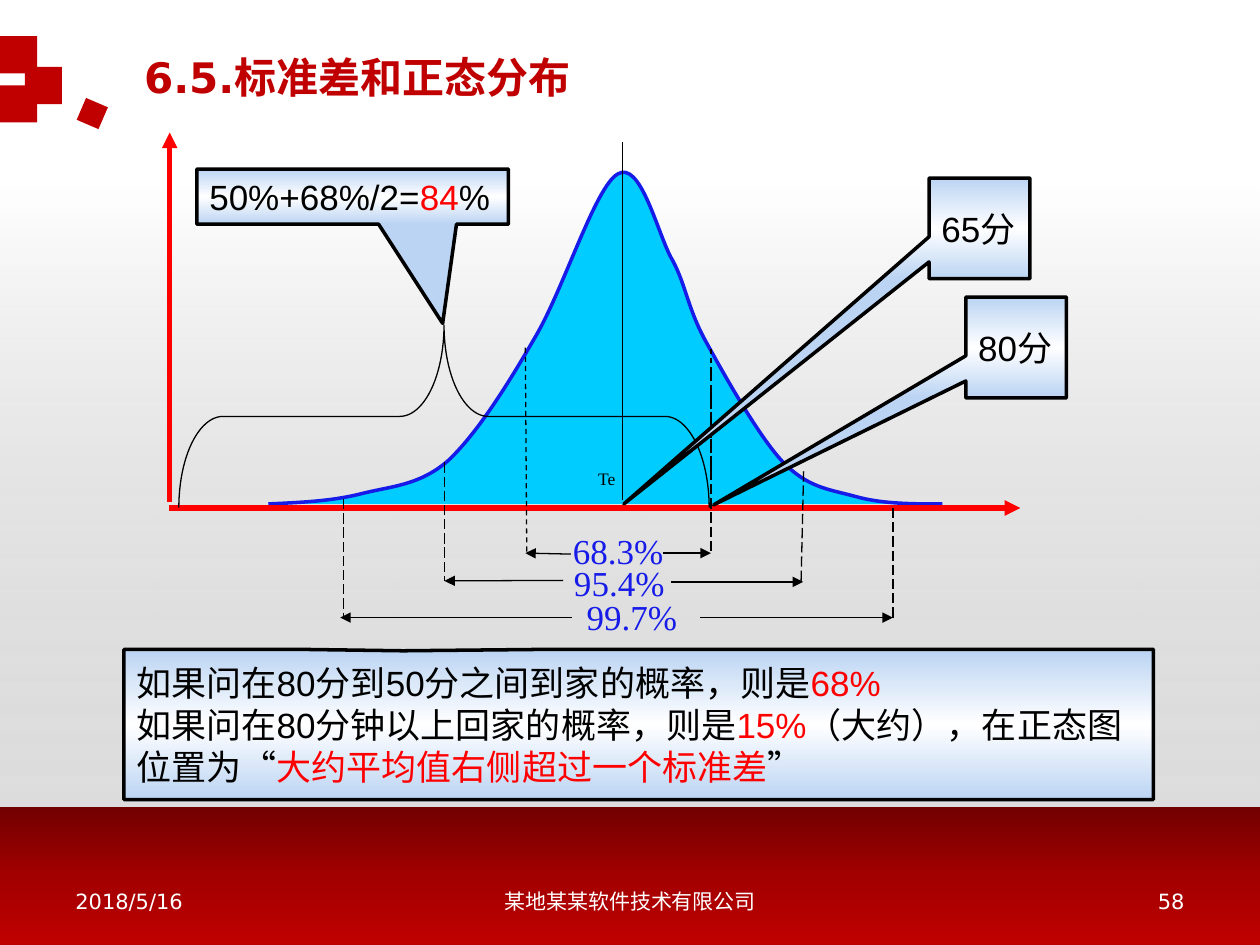
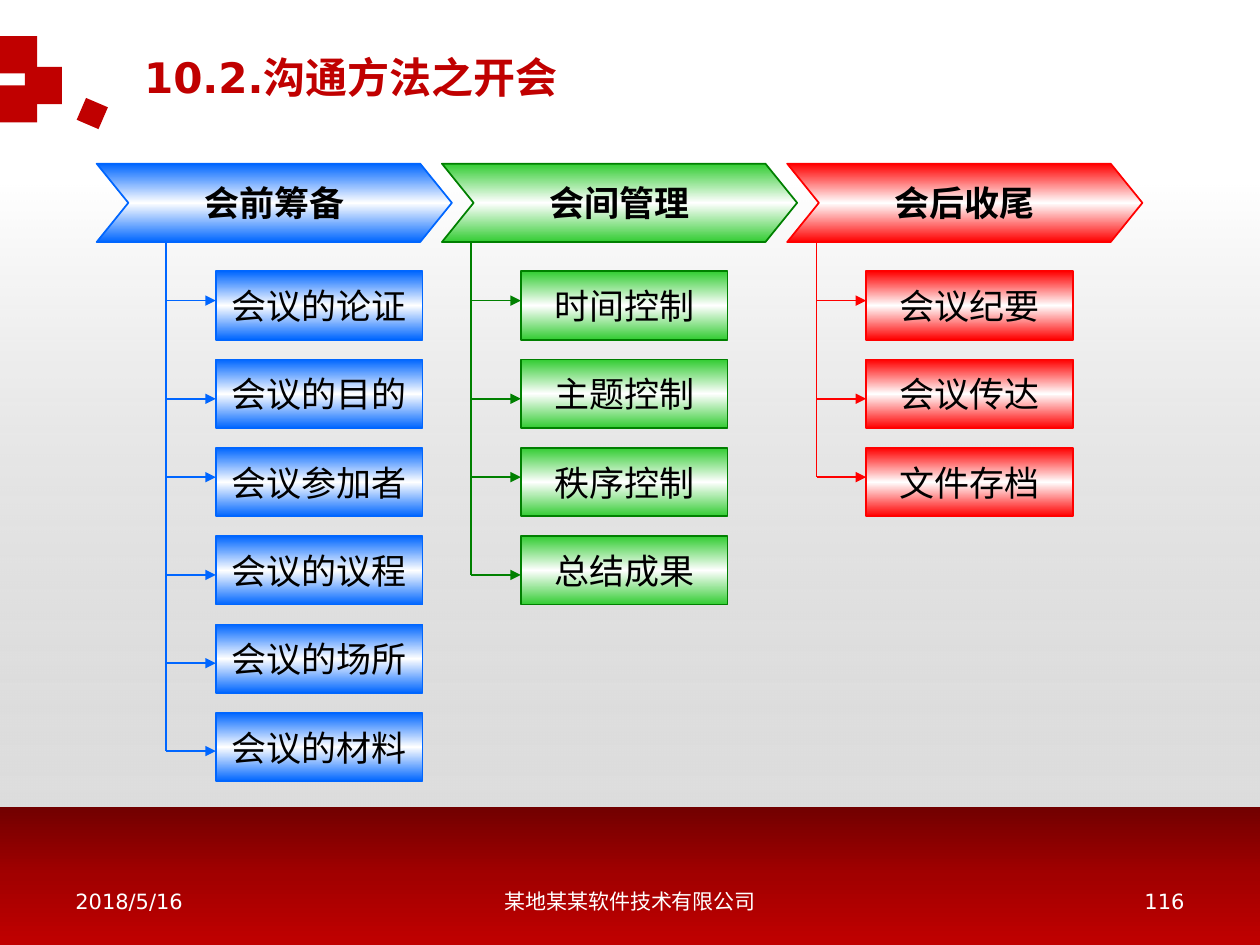
"""Build two training slides: the normal distribution and the three stages of a meeting."""
from dataclasses import dataclass

from lxml.etree import SubElement
from pptx import Presentation
from pptx.dml.color import RGBColor
from pptx.enum.dml import MSO_LINE
from pptx.enum.shapes import MSO_CONNECTOR, MSO_SHAPE
from pptx.enum.text import MSO_ANCHOR, MSO_AUTO_SIZE, PP_ALIGN
from pptx.oxml.ns import qn
from pptx.util import Cm, Pt


@dataclass(frozen=True)
class Theme:
    brand: str = "C00000"
    white: str = "FFFFFF"
    black: str = "000000"
    red: str = "FF0000"
    curve: str = "161BE8"
    area: str = "00CCFF"
    backdrop: tuple = ("B6B6B600", "DDDDDD")
    base_band: tuple = ("720000", "A20000", "C00000")
    callout: tuple = ("BBD4F3", "FFFFFF", "BBD4F3")
    font: str = "DejaVu Sans"
    callout_font: str = "Arial"
    figure_font: str = "Times New Roman"
    title_size: int = 24
    text_size: int = 20
    footer_size: int = 12
    mark_size: int = 10


theme = Theme()


def write(frame, text, font=theme.font, size=theme.text_size, color=theme.black, bold=False,
          align=PP_ALIGN.LEFT, anchor=MSO_ANCHOR.MIDDLE, wrap=True):
    """Fill a frame; parts between bars are set in the accent red."""
    frame.word_wrap = wrap
    frame.auto_size = MSO_AUTO_SIZE.NONE
    frame.vertical_anchor = anchor
    for index, words in enumerate(text.split("\n")):
        paragraph = frame.add_paragraph() if index else frame.paragraphs[0]
        paragraph.alignment = align
        for part, piece in enumerate(words.split("|")):
            run = paragraph.add_run()
            run.text = piece
            run.font.name = font
            run.font.size = Pt(size)
            run.font.bold = bold
            run.font.color.rgb = RGBColor.from_string(theme.red if part % 2 else color)


def style(shape, fill=None, line=None, width=0.75, dash=None, arrow=False):
    """Set fill (one colour or gradient stops, top to bottom), outline and no shadow."""
    if fill == ():
        shape.fill.background()
    elif isinstance(fill, str):
        shape.fill.solid()
        shape.fill.fore_color.rgb = RGBColor.from_string(fill)
    elif fill:
        shape.fill.gradient()
        shape.fill.gradient_angle = 270
        stops = shape._element.spPr.find(".//" + qn("a:gsLst"))
        stops.clear()
        for index, color in enumerate(fill):
            stop = SubElement(stops, qn("a:gs"), pos=str(100000 * index // (len(fill) - 1)))
            tone = SubElement(stop, qn("a:srgbClr"), val=color[:6])
            if len(color) == 8:
                SubElement(tone, qn("a:alpha"), val=str(int(color[6:], 16) * 100000 // 255))
    if line:
        shape.line.color.rgb = RGBColor.from_string(line)
        shape.line.width = Pt(width)
        if dash:
            shape.line.dash_style = dash
        if arrow:
            SubElement(shape.line._get_or_add_ln(), qn("a:tailEnd"), type="triangle")
    else:
        shape.line.fill.background()
    SubElement(shape._element.spPr, qn("a:effectLst"))


prs = Presentation()
prs.slide_width, prs.slide_height = Cm(25.4), Cm(19.05)

pages = []
for heading, number in [("6.5.标准差和正态分布", "58"), ("10.2.沟通方法之开会", "116")]:
    slide = prs.slides.add_slide(prs.slide_layouts[5])
    pages.append(slide)
    for x, y, w, h, turn, fill in [
        (0, 3.73, 25.4, 12.54, 0, theme.backdrop),
        (0, 16.27, 25.4, 2.78, 0, theme.base_band),
        (0, 0.73, 0.75, 0.75, 0, theme.brand),
        (0.5, 1.35, 0.75, 0.75, 0, theme.brand),
        (0, 1.72, 0.75, 0.75, 0, theme.brand),
        (1.62, 2.05, 0.48, 0.48, 23.3, theme.brand),
    ]:
        block = slide.shapes.add_shape(MSO_SHAPE.RECTANGLE, Cm(x), Cm(y), Cm(w), Cm(h))
        block.rotation = turn
        style(block, fill)
    title = slide.shapes.title
    title.left, title.top, title.width, title.height = Cm(2.65), Cm(0.91), Cm(21.8), Cm(1.27)
    write(title.text_frame, heading, size=theme.title_size, color=theme.brand, bold=True)
    for text, x, w, align in [
        ("2018/5/16", 1.27, 5.92, PP_ALIGN.LEFT),
        ("某地某某软件技术有限公司", 8.68, 8.05, PP_ALIGN.CENTER),
        (number, 18.21, 5.92, PP_ALIGN.RIGHT),
    ]:
        footer = slide.shapes.add_textbox(Cm(x), Cm(17.65), Cm(w), Cm(1.02))
        write(footer.text_frame, text, size=theme.footer_size, color=theme.white, align=align)

distribution, meeting = pages

bell = [
    (5.41, 10.16), (6.02, 10.13), (6.65, 10.11), (7.26, 9.96), (7.87, 9.8), (8.43, 9.8),
    (9.02, 9.3), (9.6, 8.76), (10.21, 7.8), (10.77, 6.83), (11.35, 5.87), (11.99, 3.78),
    (12.45, 3.51), (12.9, 3.23), (13.23, 4.6), (13.51, 5.16), (13.82, 5.69), (13.84, 6.15),
    (14.2, 6.83), (14.58, 7.52), (15.27, 8.76), (15.77, 9.3), (16.28, 9.83), (16.69, 9.86),
    (17.25, 10.01), (17.78, 10.16), (18.39, 10.16), (19, 10.16),
]
start, *controls = [(Cm(x), Cm(y)) for x, y in bell]
builder = distribution.shapes.build_freeform(*start)
builder.add_line_segments(controls, close=False)
bell_curve = builder.convert_to_shape()
outline = bell_curve._element.spPr.find(".//" + qn("a:path"))
segments = outline.findall(qn("a:lnTo"))
for first in range(0, len(segments), 3):
    bend = SubElement(outline, qn("a:cubicBezTo"))
    for segment in segments[first:first + 3]:
        bend.append(segment[0])
        outline.remove(segment)
style(bell_curve, theme.area, theme.curve, 2)

axis_look = dict(line=theme.red, width=3, arrow=True)
mean_look = dict(line=theme.black)
span_look = dict(line=theme.black, arrow=True)
near_look = dict(line=theme.black, dash=MSO_LINE.DASH)
limit_look = dict(line=theme.black, dash=MSO_LINE.LONG_DASH)
for look, ends in [
    (axis_look, [(3.4, 10.24, 20.57, 10.24), (3.42, 10.11, 3.42, 2.67)]),
    (near_look, [(14.33, 9.68, 14.33, 7.01), (10.59, 7.01, 10.62, 11.15)]),
    (limit_look, [(14.33, 7.47, 14.33, 11.13), (8.96, 9.32, 8.96, 11.71),
                  (16.2, 9.5, 16.15, 11.71), (18, 10.24, 18, 12.45),
                  (6.93, 10.06, 6.93, 12.45)]),
    (span_look, [(13.36, 11.15, 14.33, 11.15), (13.53, 11.73, 16.19, 11.73),
                 (14.12, 12.45, 18, 12.45), (11.51, 11.17, 10.59, 11.15),
                 (11.35, 11.7, 8.96, 11.71), (11.53, 12.45, 6.86, 12.45)]),
    (mean_look, [(12.55, 2.87, 12.55, 10.08)]),
]:
    for end in ends:
        style(distribution.shapes.add_connector(MSO_CONNECTOR.STRAIGHT, *map(Cm, end)), **look)

for share, x, y, w, h in [
    ("68.3%", 11.15, 10.54, 2.62, 0.76),
    ("95.4%", 11.19, 11.2, 2.59, 0.94),
    ("99.7%", 11.23, 11.89, 3.02, 1.24),
]:
    label = distribution.shapes.add_textbox(Cm(x), Cm(y), Cm(w), Cm(h))
    write(label.text_frame, share, font=theme.figure_font, color=theme.curve,
          align=PP_ALIGN.CENTER, anchor=MSO_ANCHOR.TOP)
mean_mark = distribution.shapes.add_textbox(Cm(11.81), Cm(9.32), Cm(2.21), Cm(0.97))
write(mean_mark.text_frame, "Te", font=theme.figure_font, size=theme.mark_size,
      anchor=MSO_ANCHOR.TOP)

brace = distribution.shapes.add_shape(MSO_SHAPE.LEFT_BRACE, Cm(7.11), Cm(3.05), Cm(3.68), Cm(10.69))
brace.rotation = 90
brace.adjustments[0] = 0.242
style(brace, (), theme.black)

for text, x, y, w, h, tip_x, tip_y in [
    ("如果问在80分到50分之间到家的概率，则是|68%\n"
     "如果问在80分钟以上回家的概率，则是|15%|（大约），在正态图位置为“"
     "|大约平均值右侧超过一个标准差|”", 2.5, 13.09, 20.75, 3.03, -0.229, -0.49),
    ("65分", 18.73, 3.59, 2.03, 2.03, -3.532, 2.737),
    ("80分", 19.47, 5.99, 2.03, 2.03, -3.004, 1.564),
    ("50%+68%/2=|84|%", 3.97, 3.41, 6.28, 1.11, 0.289, 2.302),
]:
    callout = distribution.shapes.add_shape(MSO_SHAPE.RECTANGULAR_CALLOUT, Cm(x), Cm(y), Cm(w), Cm(h))
    callout.adjustments[0], callout.adjustments[1] = tip_x, tip_y
    style(callout, theme.callout, theme.black, 2)
    write(callout.text_frame, text, font=theme.callout_font)

stages = [
    ("会前筹备", "0066FF", "0066FF", 4.35,
     ["会议的论证", "会议的目的", "会议参加者", "会议的议程", "会议的场所", "会议的材料"]),
    ("会间管理", "33CC33", "008000", 10.5, ["时间控制", "主题控制", "秩序控制", "总结成果"]),
    ("会后收尾", "FF0000", "FF0000", 17.46, ["会议纪要", "会议传达", "文件存档"]),
]
branch_levels = [6.06, 8.04, 9.62, 11.59, 13.37, 15.14]
for column, (stage, tint, edge, task_left, tasks) in enumerate(stages):
    glow = (tint, theme.white, tint)
    chevron = meeting.shapes.add_shape(MSO_SHAPE.CHEVRON, Cm(1.95 + 6.96 * column), Cm(3.3),
                                       Cm(7.16), Cm(1.58))
    chevron.adjustments[0] = 0.404
    style(chevron, glow, edge, 1)
    write(chevron.text_frame, stage, bold=True, align=PP_ALIGN.CENTER, wrap=False)
    trunk_x = task_left - 1
    trunk_end = branch_levels[len(tasks) - 1]
    branches = [(trunk_x, 4.88, trunk_x, trunk_end, False)]
    for row, (task, level) in enumerate(zip(tasks, branch_levels)):
        box = meeting.shapes.add_shape(MSO_SHAPE.RECTANGLE, Cm(task_left), Cm(5.47 + 1.78 * row),
                                       Cm(4.17), Cm(1.38))
        style(box, glow, edge, 1)
        write(box.text_frame, task, align=PP_ALIGN.CENTER, wrap=False)
        branches.append((trunk_x, level, task_left, level, True))
    for *ends, arrow in branches:
        branch = meeting.shapes.add_connector(MSO_CONNECTOR.STRAIGHT, *map(Cm, ends))
        style(branch, line=edge, width=1, arrow=arrow)

prs.save("out.pptx")
